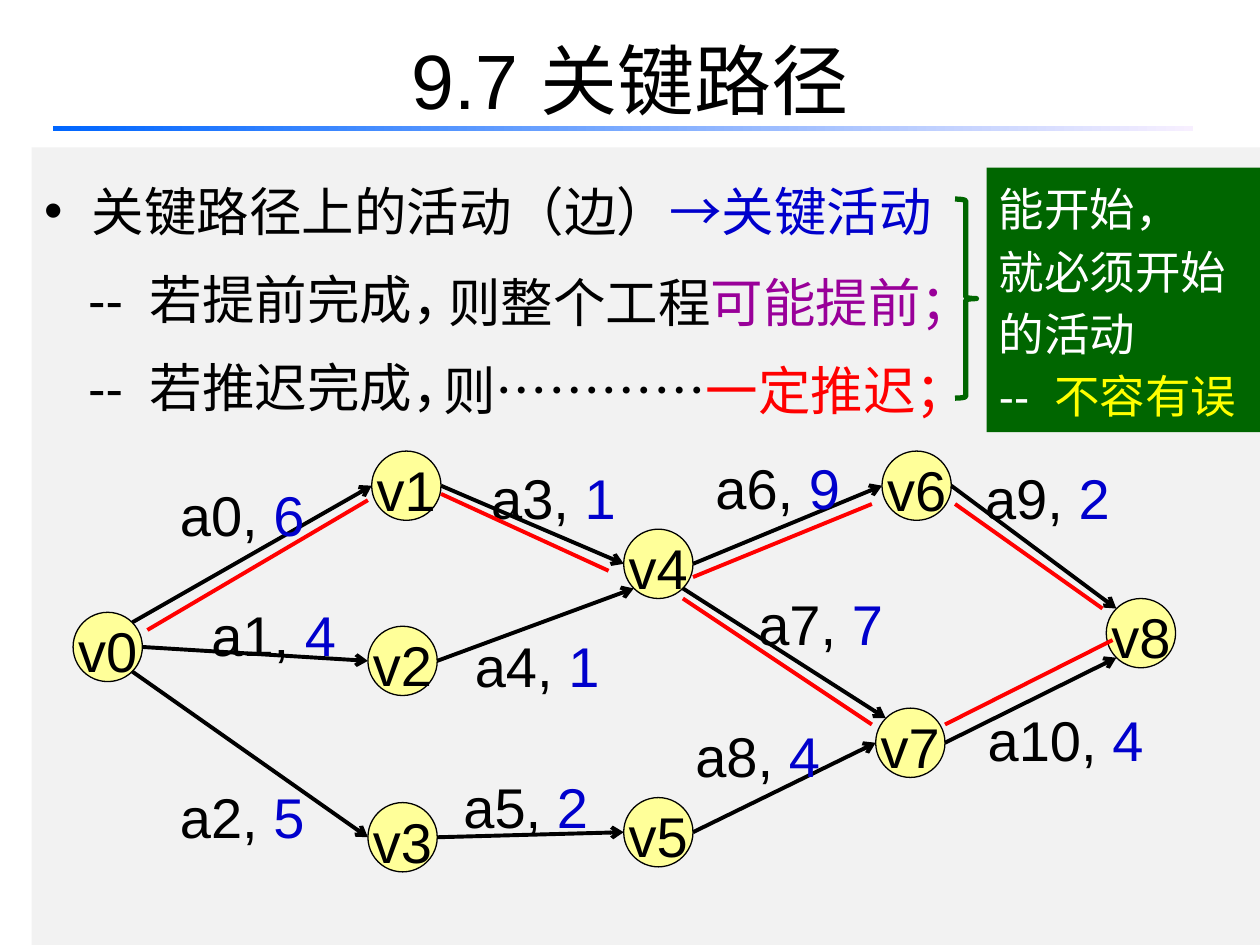
from lxml.etree import SubElement
from pptx import Presentation
from pptx.dml.color import RGBColor
from pptx.enum.lang import MSO_LANGUAGE_ID
from pptx.enum.shapes import MSO_CONNECTOR, MSO_SHAPE
from pptx.enum.text import MSO_ANCHOR, MSO_AUTO_SIZE, PP_ALIGN
from pptx.oxml.ns import qn
from pptx.util import Inches, Pt

BLACK = RGBColor(0x00, 0x00, 0x00)
WHITE = RGBColor(0xFF, 0xFF, 0xFF)
GRAY = RGBColor(0xF2, 0xF2, 0xF2)
BLUE = RGBColor(0x00, 0x00, 0xCC)
SKY = RGBColor(0x00, 0x66, 0xFF)
PALE = RGBColor(0xF7, 0xEF, 0xFF)
PURPLE = RGBColor(0x99, 0x00, 0x99)
RED = RGBColor(0xFF, 0x00, 0x00)
GREEN = RGBColor(0x00, 0x66, 0x00)
YELLOW = RGBColor(0xFF, 0xFF, 0x00)
CREAM = RGBColor(0xFF, 0xFF, 0x99)

SIZE = 0.55
DIAG = 0.71
SIDES = {"E": (1, 0), "W": (-1, 0), "NE": (DIAG, -DIAG), "SE": (DIAG, DIAG),
         "NW": (-DIAG, -DIAG), "SW": (-DIAG, DIAG)}
NODES = {"v0": (0.58, 4.86), "v1": (2.95, 3.58), "v2": (2.92, 4.97),
         "v3": (2.92, 6.37), "v4": (4.95, 4.2), "v5": (4.95, 6.33),
         "v6": (7, 3.58), "v7": (6.95, 5.62), "v8": (8.78, 4.75)}
EDGES = [
    ("v0", "NE", "v1", "W", 6, 1.33, 3.63),
    ("v0", "E", "v2", "W", 4, 1.58, 4.58),
    ("v0", "SE", "v3", "W", 5, 1.33, 6.03),
    ("v1", "E", "v4", "W", 1, 3.8, 3.5),
    ("v2", "E", "v4", "SW", 1, 3.67, 4.83),
    ("v3", "E", "v5", "W", 2, 3.58, 5.95),
    ("v4", "E", "v6", "W", 9, 5.58, 3.42),
    ("v4", "SE", "v7", "NW", 7, 5.92, 4.5),
    ("v5", "E", "v7", "W", 4, 5.42, 5.54),
    ("v6", "E", "v8", "NW", 2, 7.72, 3.5),
    ("v7", "E", "v8", "SW", 4, 7.74, 5.42),
]
PATHS = [
    ((1.17, 5), (2.92, 3.97)), ((3.5, 3.92), (4.83, 4.53)),
    ((5.5, 4.58), (6.92, 4)), ((7.58, 4), (8.75, 4.83)),
    ((5.42, 4.75), (6.92, 5.75)), ((7.5, 5.75), (8.83, 5.08)),
]


def write(frame, text, size, align=PP_ALIGN.LEFT, space=1.0, hangs=None):
    for i, parts in enumerate(text):
        para = frame.paragraphs[0] if i == 0 else frame.add_paragraph()
        if hangs and hangs[i]:
            left, first, mark = hangs[i]
            props = para._p.get_or_add_pPr()
            props.set("marL", str(Inches(left)))
            props.set("indent", str(Inches(first)))
            if mark:
                SubElement(props, qn("a:buFont"), typeface="Arial")
                SubElement(props, qn("a:buChar"), char=mark)
            else:
                SubElement(props, qn("a:buNone"))
                tabs = SubElement(props, qn("a:tabLst"))
                SubElement(tabs, qn("a:tab"), pos=str(Inches(left)), algn="l")
        para.alignment = align
        para.line_spacing = space
        para.space_before = Pt(0)
        for words, color in parts:
            run = para.add_run()
            run.text = words
            run.font.name = "Arial"
            run.font.size = Pt(size)
            run.font.color.rgb = color
            run.font.language_id = MSO_LANGUAGE_ID.SIMPLIFIED_CHINESE


class Board:
    def __init__(self, slide):
        self.slide = slide
        self.shapes = slide.shapes

    def place(self, item, x, y, w, h):
        item.left, item.top = Inches(x), Inches(y)
        item.width, item.height = Inches(w), Inches(h)
        item.text_frame.auto_size = MSO_AUTO_SIZE.NONE
        return item

    def title(self, text):
        item = self.place(self.shapes.title, 0.5, 0, 9, 1.25)
        item.text_frame.vertical_anchor = MSO_ANCHOR.MIDDLE
        write(item.text_frame, [[(text, BLACK)]], 44, align=PP_ALIGN.CENTER)

    def body(self, text, hangs):
        item = self.place(self.slide.placeholders[1], 0.25, 1.17, 9.75, 6.33)
        item.fill.solid()
        item.fill.fore_color.rgb = GRAY
        write(item.text_frame, text, 30, align=PP_ALIGN.JUSTIFY, space=1.4,
              hangs=hangs)

    def shape(self, kind, x, y, w, h, fill=None, line=None, width=0.75):
        item = self.shapes.add_shape(kind, Inches(x), Inches(y),
                                     Inches(w), Inches(h))
        item.shadow.inherit = False
        if fill is None:
            item.fill.background()
        else:
            item.fill.solid()
            item.fill.fore_color.rgb = fill
        if line is None:
            item.line.fill.background()
        else:
            item.line.color.rgb = line
            item.line.width = Pt(width)
        return item

    def rule(self):
        item = self.shape(MSO_SHAPE.RECTANGLE, 0.42, 1, 9.05, 0.04)
        item.fill.gradient()
        item.fill.gradient_angle = 0
        for stop, color in zip(item.fill.gradient_stops, (SKY, PALE)):
            stop.color.rgb = color

    def node(self, name, x, y):
        item = self.shape(MSO_SHAPE.OVAL, x, y, SIZE, SIZE, CREAM, BLACK)
        frame = item.text_frame
        frame.word_wrap = False
        frame.vertical_anchor = MSO_ANCHOR.MIDDLE
        frame.margin_left = frame.margin_right = 0
        write(frame, [[(name, BLACK)]], 32, align=PP_ALIGN.CENTER, space=1.1)

    def line(self, start, end, color, arrow=False):
        item = self.shapes.add_connector(
            MSO_CONNECTOR.STRAIGHT, *map(Inches, (*start, *end)))
        item.line.color.rgb = color
        item.line.width = Pt(2.25)
        if arrow:
            SubElement(item.line._get_or_add_ln(), qn("a:tailEnd"), type="arrow")
        SubElement(item._element.spPr, qn("a:effectLst"))

    def label(self, parts, x, y, w, h, size):
        item = self.shapes.add_textbox(Inches(x), Inches(y),
                                       Inches(w), Inches(h))
        item.text_frame.word_wrap = False
        write(item.text_frame, [parts], size, space=1.25)

    def note(self, text, hangs):
        item = self.shape(MSO_SHAPE.RECTANGLE, 7.83, 1.33, 2.17, 2.1, GREEN)
        item.text_frame.word_wrap = True
        item.text_frame.vertical_anchor = MSO_ANCHOR.TOP
        write(item.text_frame, text, 26, space=1.14, hangs=hangs)


def port(name, side):
    x, y = NODES[name]
    dx, dy = SIDES[side]
    half = SIZE / 2
    return x + half + dx * half, y + half + dy * half


def main():
    deck = Presentation()
    deck.slide_width, deck.slide_height = Inches(10), Inches(7.5)
    board = Board(deck.slides.add_slide(deck.slide_layouts[1]))
    board.title("9.7 关键路径")
    board.rule()
    dash = (0.84, -0.49, None)
    board.body([
        [("关键路径上的活动（边）", BLACK), ("→关键活动", BLUE)],
        [("--\t若提前完成，", BLACK)],
        [("--\t若推迟完成，", BLACK)],
    ], [(0.38, -0.38, "•"), dash, dash])
    board.label([("则整个工程", BLACK), ("可能提前；", PURPLE)],
                3.46, 1.97, 4.46, 0.67, 30)
    board.label([("则…………", BLACK), ("一定推迟；", RED)],
                3.42, 2.67, 4.41, 0.67, 30)
    for name, (x, y) in NODES.items():
        board.node(name, x, y)
    for i, (tail, out, head, into, cost, x, y) in enumerate(EDGES):
        board.line(port(tail, out), port(head, into), BLACK, arrow=True)
        board.label([(f"a{i}, ", BLACK), (str(cost), BLUE)],
                    x, y, 1.2 if i < 10 else 1.45, 0.71, 32)
    for start, end in PATHS:
        board.line(start, end, RED)
    board.shape(MSO_SHAPE.RIGHT_BRACE, 7.58, 1.58, 0.17, 1.58,
                line=GREEN, width=3)
    board.note([
        [("能开始，", WHITE)],
        [("就必须开始", WHITE)],
        [("的活动", WHITE)],
        [("--\t", WHITE), ("不容有误", YELLOW)],
    ], [None, None, None, (0.44, -0.44, None)])
    deck.save("out.pptx")


if __name__ == "__main__":
    main()
